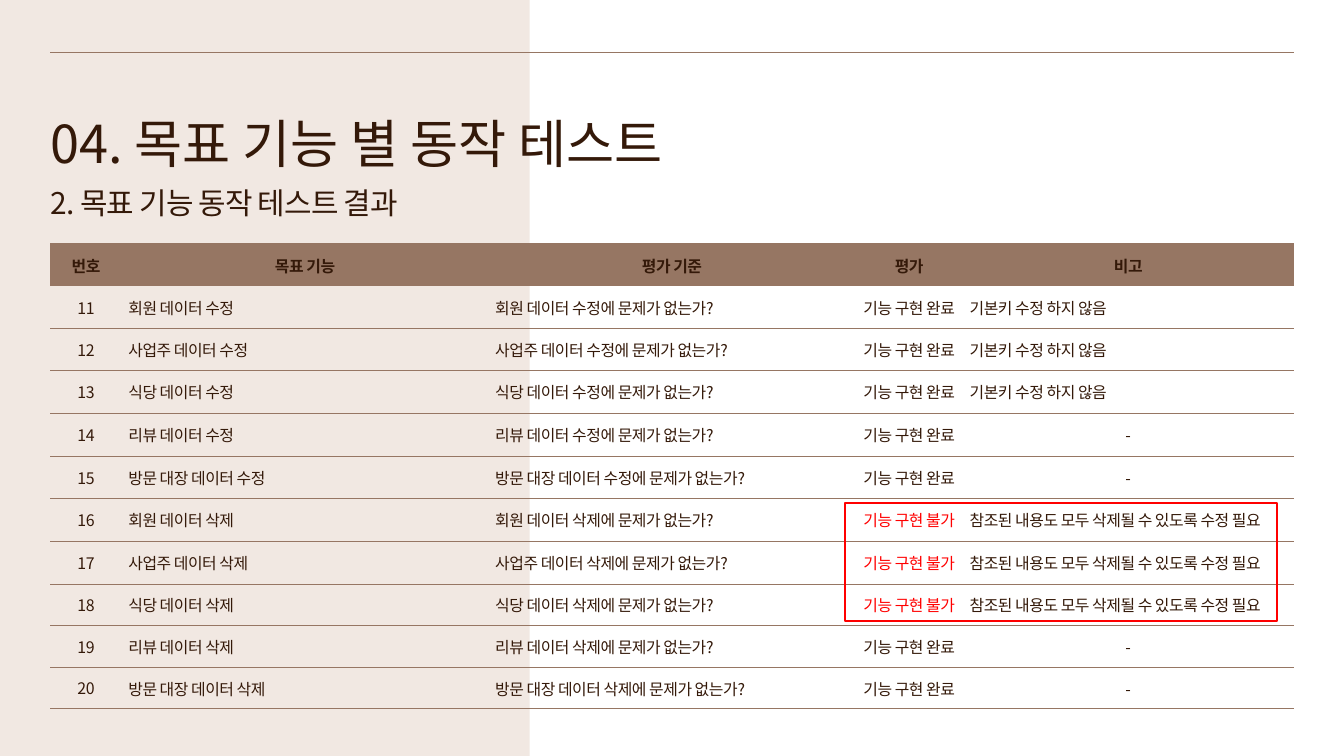
from dataclasses import dataclass

from lxml import etree
from pptx import Presentation
from pptx import util as u
from pptx.dml.color import RGBColor
from pptx.enum import shapes, text
from pptx.oxml import ns

COLS, ROWS, UNIT = 80, 45, 0.25  # slide grid, with cells of a quarter inch


@dataclass(frozen=True)
class Theme:
    back: str = "F1E8E2"
    panel: str = "FFFFFF"
    ink: str = "341909"
    rule: str = "967663"
    alert: str = "FF0000"
    head: str = "Noto Sans CJK KR"
    body: str = "Noto Sans CJK SC"
    title: float = 56
    sub: float = 32
    cell: float = 17
    thin: float = 0.75
    mid: float = 1
    thick: float = 3
    frame: float = 2


@dataclass(frozen=True)
class Box:
    x: float
    y: float
    w: float
    h: float

    def inner(self, x, y, w, h):
        return Box(self.x + x, self.y + y, w, h)

    def emu(self):
        return [grid(n) for n in (self.x, self.y, self.w, self.h)]


T = Theme()
DONE, FAIL = "기능 구현 완료", "기능 구현 불가"
HEADS = ["번호", "목표 기능", "평가 기준", "평가", "비고"]
ITEMS = ["회원", "사업주", "식당", "리뷰", "방문 대장"]
KEEP = "기본키 수정 하지 않음"
FIX = "참조된 내용도 모두 삭제될 수 있도록 수정 필요"
TASKS = [("수정", DONE, KEEP), ("삭제", FAIL, FIX)]
NOTED = 3  # the first items of each task carry a note
WIDTHS = [4.24, 21.84, 21.84, 6.4, 19.68]
TALL, LOW = 2.56, 2.48
HEIGHTS = [LOW, TALL, LOW, TALL, TALL, LOW, TALL, TALL, LOW, LOW, LOW]
HEAVY = {4, 9, 10}  # rows with a stronger lower edge


def grid(n):
    return u.Inches(n * UNIT)


def rgb(code):
    return RGBColor.from_string(code)


def write(para, words, face, size, color, space=0, bold=False):
    run = para.add_run()
    run.text = words
    font = run.font
    font.name, font.size, font.bold = face, u.Pt(size), bold
    font.color.rgb = rgb(color)
    props = run._r.get_or_add_rPr()
    etree.SubElement(props, ns.qn("a:ea")).set("typeface", face)
    if space:
        props.set("spc", str(round(space * 100)))


def rect(slide, box, fill=None, line=None, width=0):
    shape = slide.shapes.add_shape(shapes.MSO_SHAPE.RECTANGLE, *box.emu())
    shape.shadow.inherit = False
    if fill:
        shape.fill.solid()
        shape.fill.fore_color.rgb = rgb(fill)
    else:
        shape.fill.background()
    if line:
        shape.line.color.rgb = rgb(line)
        shape.line.width = u.Pt(width)
    else:
        shape.line.fill.background()


def label(slide, box, words, size, lead, space=0):
    frame = slide.shapes.add_textbox(*box.emu()).text_frame
    frame.word_wrap = True
    frame.auto_size = text.MSO_AUTO_SIZE.SHAPE_TO_FIT_TEXT
    frame.margin_left = frame.margin_right = 0
    frame.margin_top = frame.margin_bottom = 0
    para = frame.paragraphs[0]
    para.line_spacing = u.Pt(lead)
    write(para, words, T.head, size, T.ink, space)


def scene(slide, box):
    """Two-tone ground with the rule along the top."""
    slide.background.fill.solid()
    slide.background.fill.fore_color.rgb = rgb(T.back)
    rect(slide, box.inner(31.52, 0, box.w - 31.52, box.h), T.panel)
    x, y, w, _ = box.inner(3, 3.12, box.w - 6, 0).emu()
    line = slide.shapes.add_connector(shapes.MSO_CONNECTOR.STRAIGHT, x, y, x + w, y)
    line.line.color.rgb = rgb(T.rule)
    line.line.width = u.Pt(T.thin)
    etree.SubElement(line._element.spPr, ns.qn("a:effectLst"))


def titles(slide, box):
    label(slide, box.inner(0, 0, box.w, 4.16), "04. 목표 기능 별 동작 테스트", T.title, 74.5)
    label(slide, box.inner(0, 4.16, 28.52, 2.76), "2. 목표 기능 동작 테스트 결과", T.sub, 49.3, -0.9)


def records():
    """Header row, then one row per task and item."""
    rows = [HEADS]
    for task, mark, note in TASKS:
        for k, item in enumerate(ITEMS):
            name = f"{item} 데이터 {task}"
            end = (mark, note) if k < NOTED else (DONE, "-")
            rows.append([str(10 + len(rows)), name, f"{name}에 문제가 없는가?", *end])
    return rows


def edge(row):
    """Width of the line below a row; row -1 is the top of the table."""
    if row < 0:
        return T.thick
    return T.mid if row in HEAVY else T.thin


def border(cell, row):
    props = cell._tc.get_or_add_tcPr()
    for tag, width in (("lnL", 0), ("lnR", 0), ("lnT", edge(row - 1)), ("lnB", edge(row))):
        line = etree.SubElement(props, ns.qn("a:" + tag), w=str(u.Pt(width)))
        if width:
            fill = etree.SubElement(line, ns.qn("a:solidFill"))
            etree.SubElement(fill, ns.qn("a:srgbClr"), val=T.rule)
        else:
            etree.SubElement(line, ns.qn("a:noFill"))


def fill_cell(cell, row, col, words):
    head = row == 0
    border(cell, row)
    if head:
        cell.fill.solid()
        cell.fill.fore_color.rgb = rgb(T.rule)
    else:
        cell.fill.background()
    cell.vertical_anchor = text.MSO_ANCHOR.MIDDLE
    para = cell.text_frame.paragraphs[0]
    mid = head or col in (0, 3) or words == "-"
    para.alignment = text.PP_ALIGN.CENTER if mid else text.PP_ALIGN.LEFT
    para.line_spacing = 1.0 if col == 0 and row > len(ITEMS) else 1.03
    write(para, words, T.body, T.cell, T.alert if words == FAIL else T.ink, -0.5, head)


def results(slide, box):
    """Test table, with a frame around the failed checks."""
    rows = records()
    table = slide.shapes.add_table(len(rows), len(HEADS), *box.emu()).table
    table.first_row = table.horz_banding = False
    for col, width in zip(table.columns, WIDTHS):
        col.width = grid(width)
    for row, height in zip(table.rows, HEIGHTS):
        row.height = grid(height)
    for r, row in enumerate(rows):
        for c, words in enumerate(row):
            fill_cell(table.cell(r, c), r, c, words)
    rect(slide, box.inner(47.32, 15.44, 25.68, 7), line=T.alert, width=T.frame)


def main():
    deck = Presentation()
    deck.slide_width, deck.slide_height = grid(COLS), grid(ROWS)
    slide = deck.slides.add_slide(deck.slide_layouts[6])
    page = Box(0, 0, COLS, ROWS)
    scene(slide, page)
    titles(slide, page.inner(3, 6.2, 42.68, 6.92))
    results(slide, page.inner(3, 14.52, sum(WIDTHS), sum(HEIGHTS)))
    deck.save("out.pptx")


if __name__ == "__main__":
    main()
